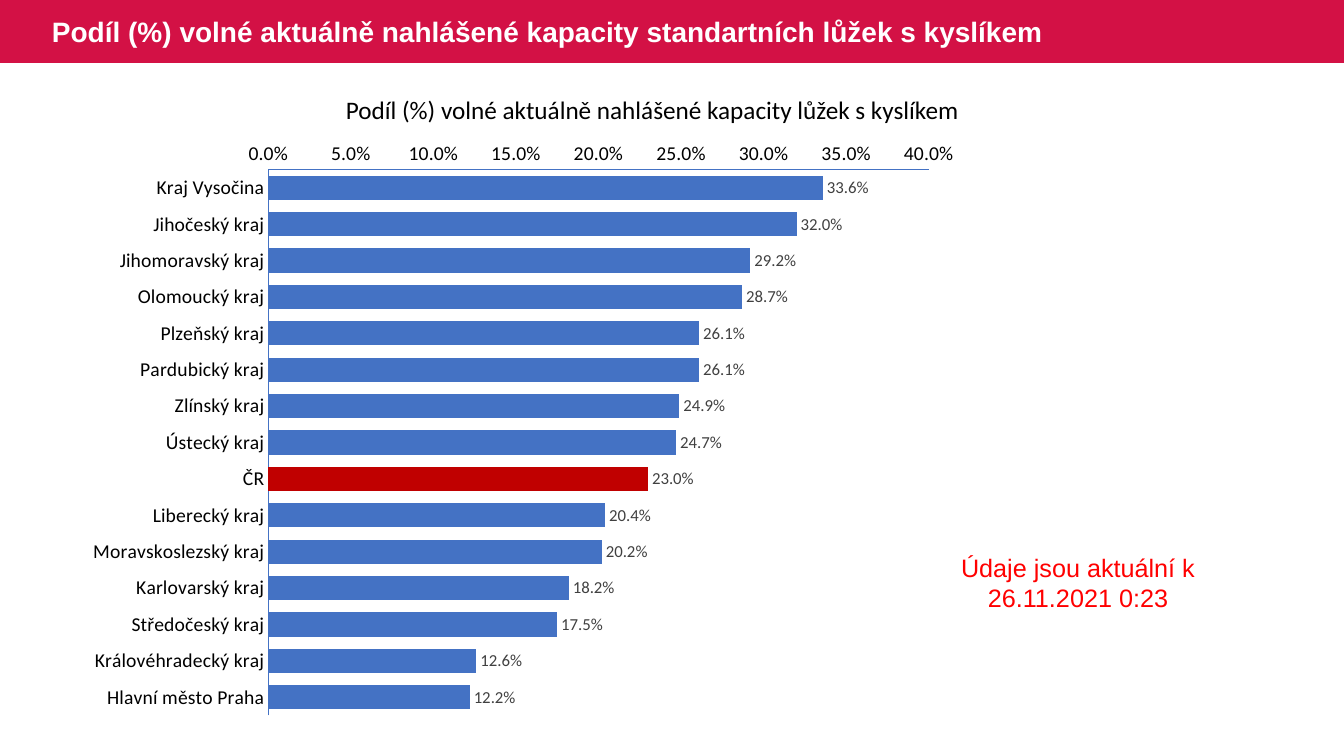
from dataclasses import dataclass

from lxml import etree
from pptx import Presentation
from pptx.chart.data import CategoryChartData
from pptx.dml.color import RGBColor
from pptx.enum.chart import XL_CHART_TYPE, XL_LABEL_POSITION, XL_TICK_MARK
from pptx.enum.shapes import MSO_SHAPE
from pptx.enum.text import MSO_ANCHOR, PP_ALIGN
from pptx.oxml.ns import qn
from pptx.util import Pt


@dataclass(frozen=True)
class Theme:
    band: RGBColor = RGBColor(0xD3, 0x11, 0x45)
    white: RGBColor = RGBColor(0xFF, 0xFF, 0xFF)
    black: RGBColor = RGBColor(0, 0, 0)
    bar: RGBColor = RGBColor(0x44, 0x72, 0xC4)
    country: RGBColor = RGBColor(0xC0, 0, 0)
    value: RGBColor = RGBColor(0x40, 0x40, 0x40)
    notice: RGBColor = RGBColor(0xFF, 0, 0)
    heading_font: str = "Arial"
    chart_font: str = "Calibri"
    title_size: int = 20
    text_size: int = 18
    axis_size: int = 14
    label_size: int = 12


THEME = Theme()
COUNTRY = "ČR"
FREE_BEDS = {
    "Kraj Vysočina": 0.336,
    "Jihočeský kraj": 0.32,
    "Jihomoravský kraj": 0.292,
    "Olomoucký kraj": 0.287,
    "Plzeňský kraj": 0.261,
    "Pardubický kraj": 0.261,
    "Zlínský kraj": 0.249,
    "Ústecký kraj": 0.247,
    COUNTRY: 0.23,
    "Liberecký kraj": 0.204,
    "Moravskoslezský kraj": 0.202,
    "Karlovarský kraj": 0.182,
    "Středočeský kraj": 0.175,
    "Královéhradecký kraj": 0.126,
    "Hlavní město Praha": 0.122,
}


def style_font(font, name, size, color, bold=False):
    font.name = name
    font.size = Pt(size)
    font.color.rgb = color
    font.bold = bold


def add_text(s, box, text, font, size, color, bold=False,
             align=PP_ALIGN.LEFT, anchor=MSO_ANCHOR.TOP, wrap=True):
    tf = s.shapes.add_textbox(*map(Pt, box)).text_frame
    tf.word_wrap = wrap
    tf.vertical_anchor = anchor
    p = tf.paragraphs[0]
    p.text = text
    p.alignment = align
    style_font(p.font, font, size, color, bold)


def add_header(s, box, text):
    x, y, w, h = box
    band = s.shapes.add_shape(MSO_SHAPE.RECTANGLE, *map(Pt, box))
    band.shadow.inherit = False
    band.fill.solid()
    band.fill.fore_color.rgb = THEME.band
    band.line.fill.background()
    add_text(s, (x + 30, y, w - 128, h), text, THEME.heading_font,
             THEME.title_size, THEME.white, bold=True, anchor=MSO_ANCHOR.MIDDLE)


def set_plot_layout(chart, x, y, w, h):
    """Fix the inner plot area as fractions of the chart."""
    plot_area = chart.plots[0]._element.getparent()
    for old in plot_area.findall(qn("c:layout")):
        plot_area.remove(old)
    layout = etree.Element(qn("c:layout"))
    plot_area.insert(0, layout)
    manual = etree.SubElement(layout, qn("c:manualLayout"))
    settings = {"layoutTarget": "inner", "xMode": "edge", "yMode": "edge",
                "x": x, "y": y, "w": w, "h": h}
    for tag, val in settings.items():
        etree.SubElement(manual, qn(f"c:{tag}"), val=str(val))


def add_region_chart(s, box):
    data = CategoryChartData(number_format="0.0%")
    data.categories = list(FREE_BEDS)
    data.add_series("Series 1", list(FREE_BEDS.values()))
    chart = s.shapes.add_chart(
        XL_CHART_TYPE.BAR_CLUSTERED, *map(Pt, box), data).chart
    chart.has_legend = False
    chart.has_title = False
    style_font(chart.font, THEME.chart_font, 10, THEME.black)
    set_plot_layout(chart, 0.216, 0.065, 0.737, 0.913)

    # Axes: regions run downwards, so percentages sit on top
    for axis in (chart.category_axis, chart.value_axis):
        axis.has_major_gridlines = False
        axis.major_tick_mark = XL_TICK_MARK.NONE
        axis.minor_tick_mark = XL_TICK_MARK.NONE
        axis.format.line.color.rgb = THEME.bar
        axis.format.line.width = Pt(0.75)
        style_font(axis.tick_labels.font, THEME.chart_font,
                   THEME.axis_size, THEME.black)
    chart.category_axis.reverse_order = True
    chart.value_axis.minimum_scale = 0
    chart.value_axis.maximum_scale = 0.4
    chart.value_axis.major_unit = 0.05
    chart.value_axis.tick_labels.number_format = "0.0%"
    chart.value_axis.tick_labels.number_format_is_linked = False

    # Bars, with the national average picked out
    plot = chart.plots[0]
    plot.gap_width = 50
    plot.vary_by_categories = False
    series = plot.series[0]
    series.invert_if_negative = False
    series.format.fill.solid()
    series.format.fill.fore_color.rgb = THEME.bar
    country_fill = series.points[list(FREE_BEDS).index(COUNTRY)].format.fill
    country_fill.solid()
    country_fill.fore_color.rgb = THEME.country

    # Value labels
    labels = series.data_labels
    labels.show_value = True
    labels.position = XL_LABEL_POSITION.OUTSIDE_END
    labels.number_format = "0.0%"
    labels.number_format_is_linked = False
    style_font(labels.font, THEME.chart_font, THEME.label_size, THEME.value)


def add_chart_region(s, box):
    x, y, w, h = box
    add_region_chart(s, (x, y + 29.5, w, h - 29.5))
    add_text(s, (x + 186.5, y, 457, 29),
             "Podíl (%) volné aktuálně nahlášené kapacity lůžek s kyslíkem",
             THEME.chart_font, THEME.text_size, THEME.black, wrap=False)


def add_notice(s, box):
    add_text(s, box, "Údaje jsou aktuální k 26.11.2021 0:23",
             THEME.heading_font, THEME.text_size, THEME.notice,
             align=PP_ALIGN.CENTER)


def main():
    prs = Presentation()
    prs.slide_width, prs.slide_height = Pt(960), Pt(540)
    s = prs.slides.add_slide(prs.slide_layouts[6])
    add_header(s, (0, 0, 960, 45),
               "Podíl (%) volné aktuálně nahlášené kapacity standartních lůžek s kyslíkem")
    add_chart_region(s, (53.5, 64, 640, 456.5))
    add_notice(s, (678, 391, 184, 51))
    prs.save("out.pptx")


if __name__ == "__main__":
    main()
